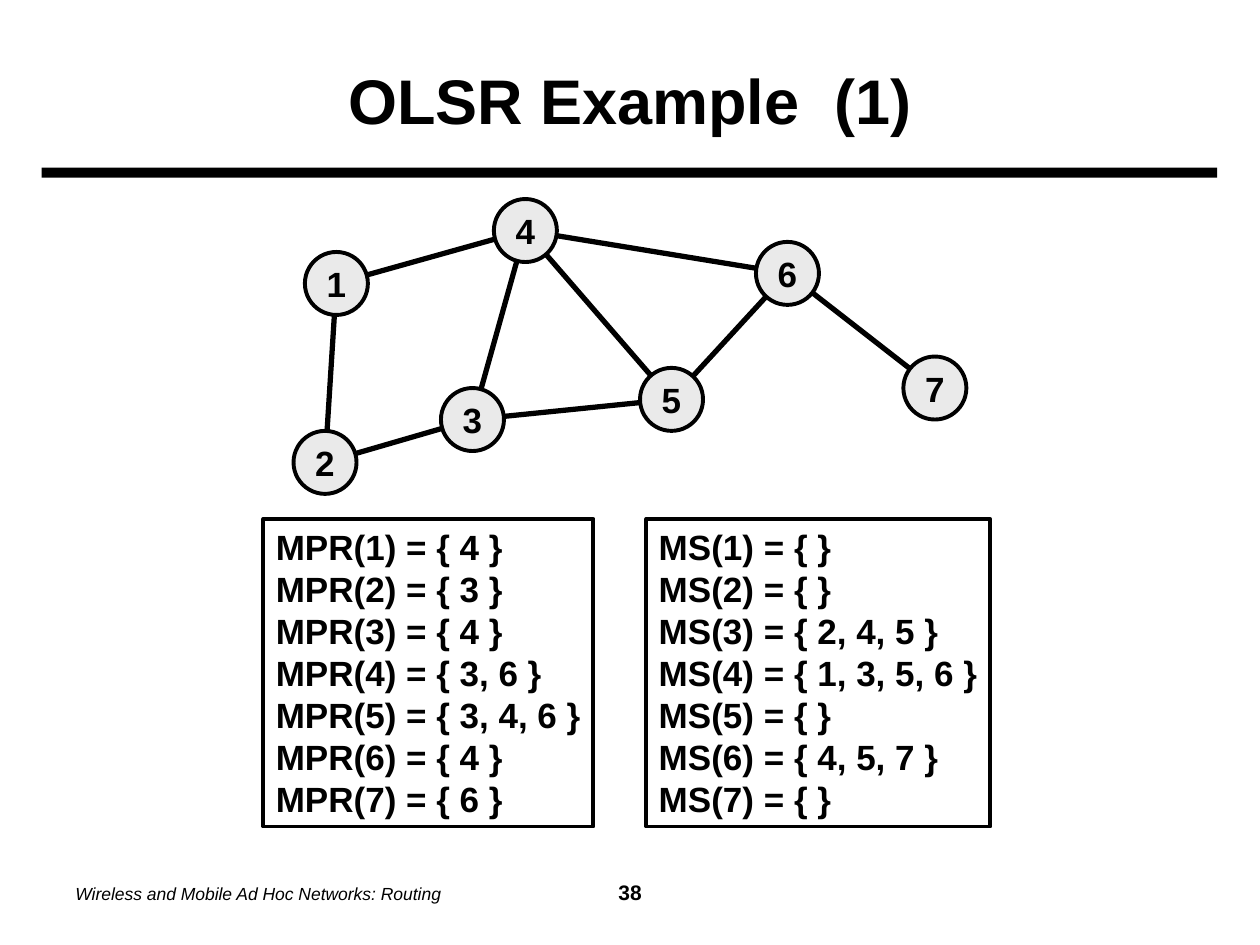
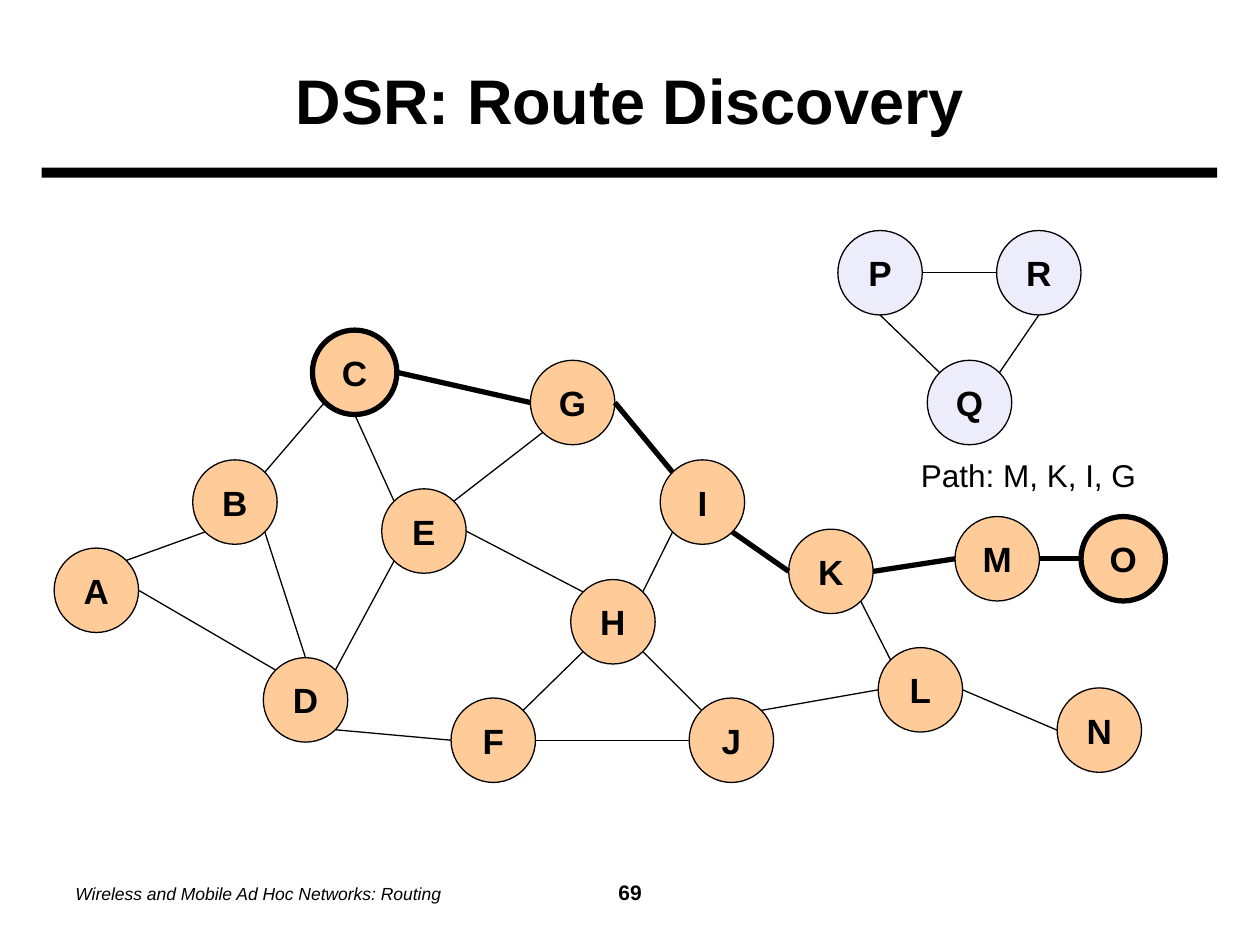
from math import sqrt

from pptx import Presentation
from pptx.dml.color import RGBColor
from pptx.enum.shapes import MSO_CONNECTOR as Connector, MSO_SHAPE as Shape
from pptx.enum.text import MSO_ANCHOR as Anchor, MSO_AUTO_SIZE as AutoSize, PP_ALIGN as Align
from pptx.oxml.ns import qn
from pptx.util import Inches, Pt
from lxml.etree import SubElement

FONT = "Arial"
BLACK, WHITE = "000000", "FFFFFF"
GREY, ORANGE, LAVENDER = "EAEAEA", "FFCC99", "ECECFA"
FOOTER = "Wireless and Mobile Ad Hoc Networks: Routing"
THIN, MEDIUM, THICK = 0.75, 2.25, 3

# Unit directions from the centre of a circle to its rim
DIAGONAL = sqrt(0.5)
DIRECTIONS = {
    "N": (0, -1), "S": (0, 1), "W": (-1, 0), "E": (1, 0),
    "NW": (-DIAGONAL, -DIAGONAL), "NE": (DIAGONAL, -DIAGONAL),
    "SW": (-DIAGONAL, DIAGONAL), "SE": (DIAGONAL, DIAGONAL),
}


def color(value):
    return RGBColor.from_string(value)


class Lecture:
    """Holds the shared style and the current page."""

    def __init__(self):
        self.deck = Presentation()
        self.deck.slide_width, self.deck.slide_height = Inches(10), Inches(7.5)
        self.page = None

    def add_page(self, title, number):
        self.page = self.deck.slides.add_slide(self.deck.slide_layouts[5])
        heading = self.page.shapes.title
        heading.left, heading.top = Inches(0.5), Inches(0.25)
        heading.width, heading.height = Inches(9), Inches(1.08)
        heading.text_frame.word_wrap = True
        heading.text_frame.auto_size = AutoSize.NONE
        heading.text_frame.vertical_anchor = Anchor.MIDDLE
        para = heading.text_frame.paragraphs[0]
        para.alignment = Align.CENTER
        self.add_span(para, title, 36, bold=True)
        self.add_shape(Shape.RECTANGLE, 0.33, 1.33, 9.33, 0.08, BLACK)
        self.add_footer(number)

    def add_footer(self, number):
        box = self.page.shapes.add_textbox(Inches(0.5), Inches(6.83), Inches(9), Inches(0.5))
        box.text_frame.word_wrap = True
        box.text_frame.vertical_anchor = Anchor.MIDDLE
        para = box.text_frame.paragraphs[0]
        tabs = SubElement(para._p.get_or_add_pPr(), qn("a:tabLst"))
        SubElement(tabs, qn("a:tab"), pos=str(Inches(4.38)), algn="ctr")
        self.add_span(para, FOOTER, 10, italic=True)
        self.add_span(para, f"\t {number}", 12, bold=True)

    def add_span(self, para, text, size, bold=False, italic=False):
        span = para.add_run()
        span.text = text
        span.font.name, span.font.size = FONT, Pt(size)
        span.font.bold, span.font.italic = bold, italic
        span.font.color.rgb = color(BLACK)

    def add_shape(self, kind, left, top, width, height, fill, line=None):
        shape = self.page.shapes.add_shape(
            kind, Inches(left), Inches(top), Inches(width), Inches(height))
        shape.shadow.inherit = False
        shape.fill.solid()
        shape.fill.fore_color.rgb = color(fill)
        if line:
            shape.line.color.rgb = color(BLACK)
            shape.line.width = Pt(line)
        else:
            shape.line.fill.background()
        return shape

    def add_node(self, name, center, diameter, fill, line):
        x, y = center
        node = self.add_shape(Shape.OVAL, x - diameter / 2, y - diameter / 2,
                              diameter, diameter, fill, line)
        node.text_frame.word_wrap = False
        node.text_frame.vertical_anchor = Anchor.MIDDLE
        para = node.text_frame.paragraphs[0]
        para.alignment = Align.CENTER
        self.add_span(para, name, 20, bold=True)

    def add_link(self, start, end, width):
        ends = [Inches(value) for value in (*start, *end)]
        link = self.page.shapes.add_connector(Connector.STRAIGHT, *ends)
        link.line.color.rgb = color(BLACK)
        link.line.width = Pt(width)
        SubElement(link._element.spPr, qn("a:effectLst"))

    def fill_text(self, box, lines, size, bold=False):
        frame = box.text_frame
        frame.word_wrap = False
        frame.auto_size = AutoSize.SHAPE_TO_FIT_TEXT
        frame.vertical_anchor = Anchor.TOP
        for index, text in enumerate(lines):
            para = frame.add_paragraph() if index else frame.paragraphs[0]
            para.alignment = Align.LEFT
            self.add_span(para, text, size, bold)

    def add_set_box(self, left, width, label, sets):
        box = self.add_shape(Shape.RECTANGLE, left, 4.12, width, 2.44, WHITE, MEDIUM)
        lines = [f"{label}({node}) = {{ {members} }}" if members else f"{label}({node}) = {{ }}"
                 for node, members in enumerate(sets, 1)]
        self.fill_text(box, lines, 20, bold=True)

    def add_label(self, left, top, width, height, text):
        box = self.page.shapes.add_textbox(
            Inches(left), Inches(top), Inches(width), Inches(height))
        self.fill_text(box, [text], 18)


def add_olsr_page(lecture):
    lecture.add_page("OLSR Example  (1)", 38)

    # Network: links run from centre to centre, behind the nodes
    centers = {
        "1": (2.67, 2.25), "4": (4.17, 1.83), "3": (3.75, 3.33), "5": (5.33, 3.17),
        "2": (2.58, 3.67), "6": (6.25, 2.17), "7": (7.42, 3.08),
    }
    for start, end in ("12", "45", "23", "14", "43", "35", "46", "67", "65"):
        lecture.add_link(centers[start], centers[end], THICK)
    for name, center in centers.items():
        lecture.add_node(name, center, 0.5, GREY, MEDIUM)

    # Multipoint relays and their selectors
    lecture.add_set_box(2.09, 2.62, "MPR", ["4", "3", "4", "3, 6", "3, 4, 6", "4", "6"])
    lecture.add_set_box(5.13, 2.73, "MS", ["", "", "2, 4, 5", "1, 3, 5, 6", "", "4, 5, 7", ""])


def add_dsr_page(lecture):
    lecture.add_page("DSR: Route Discovery", 69)
    diameter = 0.67

    # Nodes: reached ones are orange, the two ends of the route have a thick rim
    corners = {
        "A": (0.43, 4.35), "B": (1.53, 3.65), "C": (2.48, 2.62), "D": (2.09, 5.22),
        "E": (3.03, 3.88), "F": (3.58, 5.54), "G": (4.21, 2.86), "H": (4.53, 4.6),
        "I": (5.24, 3.65), "J": (5.47, 5.54), "K": (6.26, 4.2), "L": (6.97, 5.14),
        "M": (7.58, 4.1), "N": (8.39, 5.46), "O": (8.58, 4.1), "P": (6.65, 1.83),
        "Q": (7.36, 2.86), "R": (7.91, 1.83),
    }
    centers = {name: (left + diameter / 2, top + diameter / 2)
               for name, (left, top) in corners.items()}
    for name, center in centers.items():
        lecture.add_node(name, center, diameter, LAVENDER if name in "PQR" else ORANGE,
                         THICK if name in "CO" else THIN)

    # Links between rim points
    def rim(name, side):
        (x, y), (dx, dy) = centers[name], DIRECTIONS[side]
        return x + dx * diameter / 2, y + dy * diameter / 2

    links = [
        "A NE B SW", "A E D NW", "B SE D N", "B NE C SW", "E NW C S", "G SW E NE",
        "H NW E E", "E SW D NE", "F W D SE", "H SW F NE", "I SW H NE", "J NW H SE",
        "J W F E", "L W J NE", "L NW K SE", "N W L E", "P S Q NW", "P E R W", "Q NE R S",
    ]
    route = ["C E G W", "G E I NW", "I SE K W", "K E M W", "M E O W"]
    for width, group in ((THIN, links), (THICK, route)):
        for link in group:
            start, start_side, end, end_side = link.split()
            lecture.add_link(rim(start, start_side), rim(end, end_side), width)

    lecture.add_label(7.21, 3.57, 1.91, 0.4, "Path: M, K, I, G")


def main():
    lecture = Lecture()
    add_olsr_page(lecture)
    add_dsr_page(lecture)
    lecture.deck.save("out.pptx")


if __name__ == "__main__":
    main()
